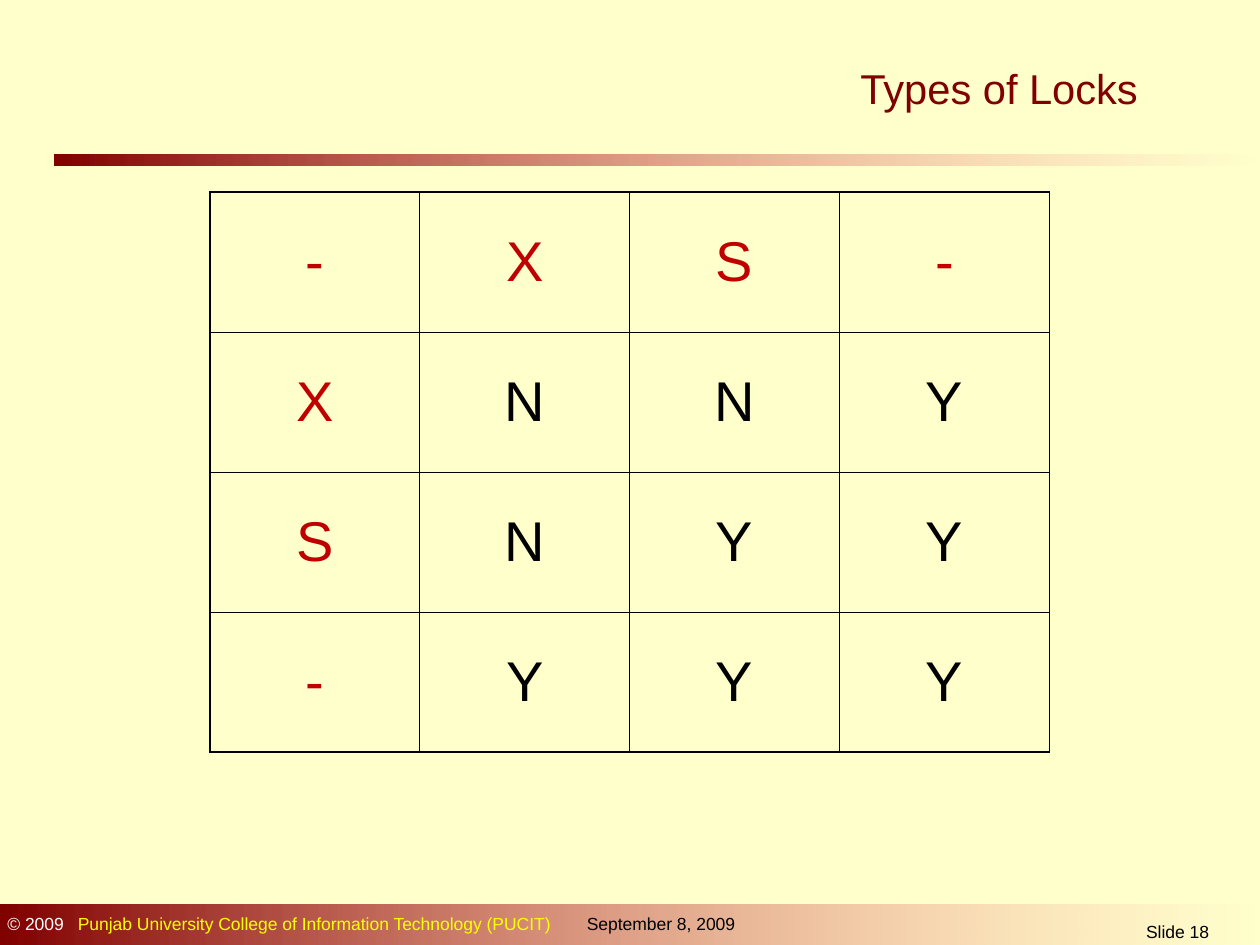
from lxml.etree import SubElement
from pptx import Presentation
from pptx.dml.color import RGBColor
from pptx.enum.shapes import MSO_SHAPE
from pptx.enum.text import MSO_ANCHOR, PP_ALIGN
from pptx.oxml.ns import qn
from pptx.util import Cm, Pt

FONT = "Arial"
COLORS = {
    "background": "FFFFCC",
    "maroon": "800000",
    "pink": "FF8585",
    "header": "C00000",
    "body": "000000",
    "copyright": "FFFFFF",
    "college": "FFFF00",
}
LOCK_MATRIX = ["-XS-", "XNNY", "SNYY", "-YYY"]
OUTER_BORDER, INNER_BORDER = 1.08, 0.45


def rgb(name):
    return RGBColor.from_string(COLORS[name])


def add_run(paragraph, text, size, color):
    run = paragraph.add_run()
    run.text = text
    run.font.name = FONT
    run.font.size = Pt(size)
    run.font.color.rgb = rgb(color)


def add_fading_bar(slide, left, top, width, height):
    bar = slide.shapes.add_shape(
        MSO_SHAPE.RECTANGLE, Cm(left), Cm(top), Cm(width), Cm(height))
    bar.shadow.inherit = False
    bar.line.fill.background()
    bar.fill.gradient()
    bar.fill.gradient_angle = 0
    for stop, color in zip(bar.fill.gradient_stops, ("maroon", "pink")):
        stop.color.rgb = rgb(color)
    # The right end fades to fully transparent
    end_color = list(bar._element.spPr.iter(qn("a:srgbClr")))[-1]
    SubElement(end_color, qn("a:alpha"), val="0")


def add_label(slide, left, top, width, height, runs, align=PP_ALIGN.LEFT):
    label = slide.shapes.add_textbox(Cm(left), Cm(top), Cm(width), Cm(height))
    label.text_frame.word_wrap = True
    paragraph = label.text_frame.paragraphs[0]
    paragraph.alignment = align
    for text, color in runs:
        add_run(paragraph, text, 10, color)
    return paragraph


def add_tab_stop(paragraph, position):
    tabs = SubElement(paragraph._p.get_or_add_pPr(), qn("a:tabLst"))
    SubElement(tabs, qn("a:tab"), pos=str(Cm(position)), algn="l")


def add_header(slide, left, top, width, height):
    title = slide.shapes.title
    title.left, title.top = Cm(left), Cm(top)
    title.width, title.height = Cm(width), Cm(height)
    frame = title.text_frame
    frame.vertical_anchor = MSO_ANCHOR.MIDDLE
    frame.paragraphs[0].alignment = PP_ALIGN.LEFT
    add_run(frame.paragraphs[0], "Types of Locks", 23.8, "maroon")


def add_footer(slide, left, top, width, height):
    add_fading_bar(slide, left, top, width, height)
    copyright_line = add_label(
        slide, left - 0.1, top + 0.05, 16.4, 0.69,
        [("© 2009", "copyright"),
         ("\tPunjab University College of Information Technology (PUCIT)",
          "college")])
    add_tab_stop(copyright_line, 1.42)
    add_label(slide, left + 11.58, top + 0.05, 3.9, 0.69,
              [("September 8, 2009", "body")])
    add_label(slide, left + 21.1, top + 0.2, 5.28, 0.61,
              [("Slide 18", "body")], PP_ALIGN.CENTER)


def add_border(cell, side, weight):
    line = SubElement(cell._tc.get_or_add_tcPr(), qn(f"a:ln{side}"),
                      w=str(Pt(weight)))
    fill = SubElement(line, qn("a:solidFill"))
    SubElement(fill, qn("a:srgbClr"), val=COLORS["body"])


def add_lock_matrix(slide, left, top, width, height):
    count = len(LOCK_MATRIX)
    table = slide.shapes.add_table(
        count, count, Cm(left), Cm(top), Cm(width), Cm(height)).table
    table.first_row = table.horz_banding = False
    for row, marks in enumerate(LOCK_MATRIX):
        for col, mark in enumerate(marks):
            cell = table.cell(row, col)
            cell.vertical_anchor = MSO_ANCHOR.MIDDLE
            on_edge = {"L": col == 0, "R": col == count - 1,
                       "T": row == 0, "B": row == count - 1}
            for side, outer in on_edge.items():
                add_border(cell, side, OUTER_BORDER if outer else INNER_BORDER)
            cell.fill.background()
            paragraph = cell.text_frame.paragraphs[0]
            paragraph.alignment = PP_ALIGN.CENTER
            is_header = row == 0 or col == 0
            add_run(paragraph, mark, 32, "header" if is_header else "body")


def main():
    deck = Presentation()
    deck.slide_width, deck.slide_height = Cm(25.4), Cm(19.05)
    slide = deck.slides.add_slide(deck.slide_layouts[5])
    slide.background.fill.solid()
    slide.background.fill.fore_color.rgb = rgb("background")

    # Title and the rule below it
    add_header(slide, 17.09, 1.12, 7.67, 1.32)
    add_fading_bar(slide, 1.09, 3.12, 24.31, 0.21)
    # Lock compatibility table
    add_lock_matrix(slide, 4.23, 3.87, 16.93, 11.29)
    # Footer band
    add_footer(slide, 0, 18.24, 25.4, 0.81)

    deck.save("out.pptx")


if __name__ == "__main__":
    main()
